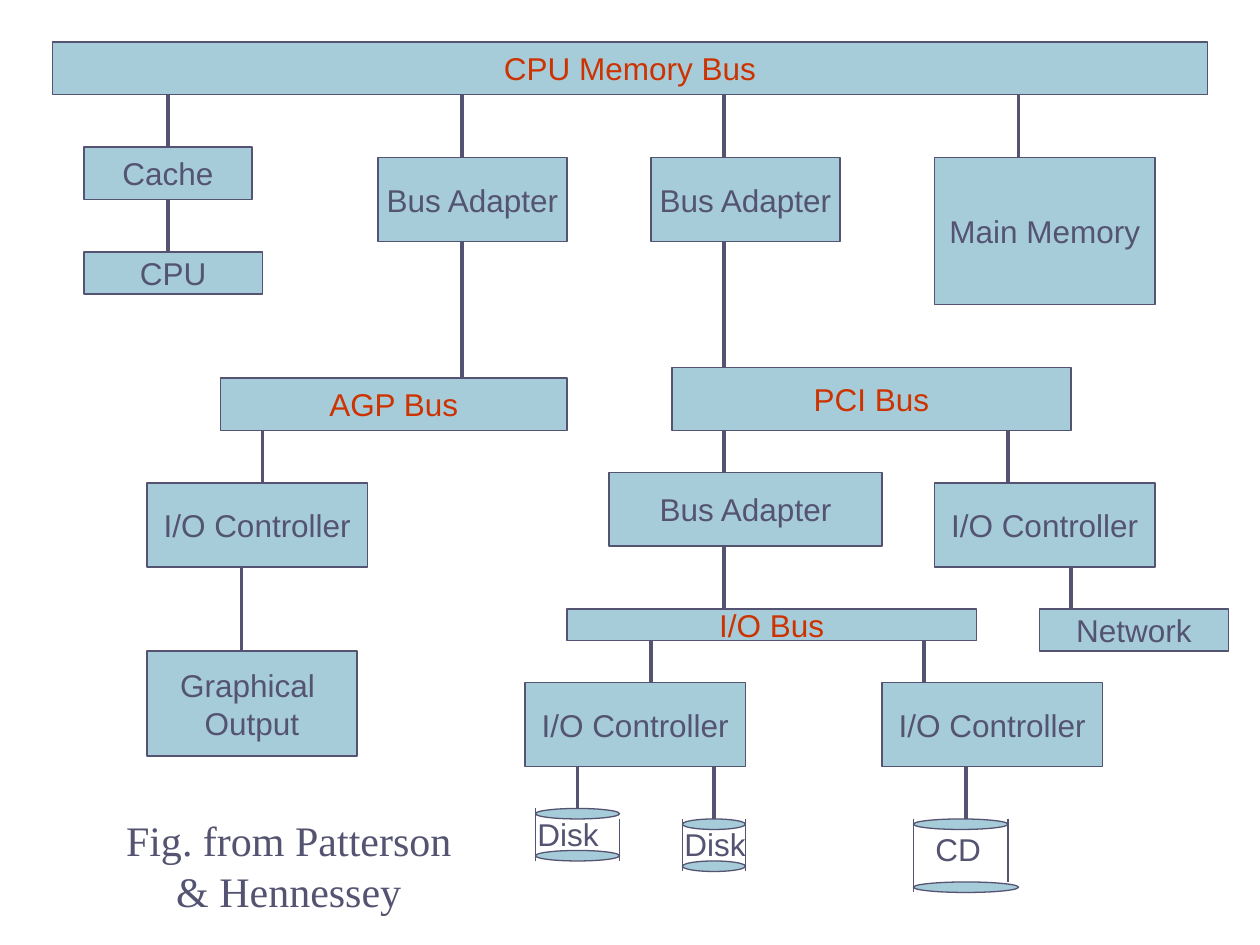
from dataclasses import dataclass

from lxml.etree import SubElement
from pptx import Presentation
from pptx.dml.color import RGBColor
from pptx.enum.shapes import MSO_CONNECTOR, MSO_SHAPE
from pptx.enum.text import MSO_ANCHOR, PP_ALIGN
from pptx.oxml.ns import qn
from pptx.shapes.autoshape import Shape
from pptx.shapes.connector import Connector
from pptx.slide import Slide
from pptx.util import Cm, Length, Pt

"""Draws a computer's bus hierarchy on a grid of twelfths of an inch."""

FILL = RGBColor(0xA7, 0xCC, 0xD9)
INK = RGBColor(0x54, 0x54, 0x72)
BUS_RED = RGBColor(0xCC, 0x33, 0x00)


@dataclass(frozen=True)
class Box:
    text: str
    x: float
    y: float
    w: float
    h: float
    color: RGBColor = INK


@dataclass(frozen=True)
class Link:
    x: float
    top: float
    bottom: float


@dataclass(frozen=True)
class Drum:
    x: float
    y: float
    w: float
    base_y: float
    base_w: float
    left: Link
    right: Link


@dataclass(frozen=True)
class Label:
    text: str
    x: float
    y: float
    w: float
    h: float
    size: int = 18
    font: str = "Arial"
    align: PP_ALIGN = PP_ALIGN.LEFT
    wrap: bool = True


BOXES = [
    Box("CPU Memory Bus", 5, 4, 110, 5, BUS_RED),
    Box("Cache", 8, 14, 16, 5),
    Box("CPU", 8, 24, 17, 4),
    Box("Bus Adapter", 36, 15, 18, 8),
    Box("Bus Adapter", 62, 15, 18, 8),
    Box("Main Memory", 89, 15, 21, 14),
    Box("AGP Bus", 21, 36, 33, 5, BUS_RED),
    Box("PCI Bus", 64, 35, 38, 6, BUS_RED),
    Box("I/O Controller", 14, 46, 21, 8),
    Box("Graphical \nOutput", 14, 62, 20, 10),
    Box("I/O Controller", 89, 46, 21, 8),
    Box("Bus Adapter", 58, 45, 26, 7),
    Box("I/O Bus", 54, 58, 39, 3, BUS_RED),
    Box("I/O Controller", 50, 65, 21, 8),
    Box("I/O Controller", 84, 65, 21, 8),
    Box("Network", 99, 58, 18, 4),
]

LINKS = [
    Link(16, 9, 14), Link(16, 19, 24),
    Link(44, 9, 15), Link(44, 23, 36),
    Link(69, 9, 15), Link(69, 23, 35), Link(69, 41, 45), Link(69, 52, 58),
    Link(97, 9, 15), Link(96, 41, 46), Link(102, 54, 58),
    Link(25, 41, 46), Link(23, 54, 62),
    Link(62, 61, 65), Link(88, 61, 65),
    Link(55, 73, 77), Link(68, 73, 78), Link(92, 73, 78),
]

DRUMS = [
    Drum(51, 77, 8, 81, 8, Link(51, 77, 82), Link(59, 78, 82)),
    Drum(65, 78, 6, 82, 6, Link(65, 78, 83), Link(71, 78, 83)),
    Drum(87, 78, 9, 84, 10, Link(87, 78, 85), Link(96, 78, 84)),
]

LABELS = [
    Label("Disk", 50, 77, 9, 4.8),
    Label("Disk", 64, 78, 8.25, 4.8, wrap=False),
    Label("CD", 87.9, 78.5, 9.2, 4.8),
    Label("Fig. from Patterson & Hennessey", 9, 77, 37, 10.8, 24,
          "Times New Roman", PP_ALIGN.CENTER),
]


def grid(n: float) -> Length:
    return Cm(n * 2.54 / 12)


def add_outlined(s: Slide, kind: MSO_SHAPE, x: float, y: float, w: float, h: float) -> Shape:
    sp = s.shapes.add_shape(kind, grid(x), grid(y), grid(w), grid(h))
    sp.shadow.inherit = False
    sp.fill.solid()
    sp.fill.fore_color.rgb = FILL
    sp.line.color.rgb = INK
    sp.line.width = Pt(0.75)
    return sp


def write(sp: Shape, text: str, size: int, font: str, color: RGBColor,
          align: PP_ALIGN, wrap: bool) -> None:
    tf = sp.text_frame
    tf.text = text
    tf.word_wrap = wrap
    for p in tf.paragraphs:
        p.alignment = align
        p.font.size = Pt(size)
        p.font.name = font
        p.font.color.rgb = color


def add_box(s: Slide, box: Box) -> Shape:
    sp = add_outlined(s, MSO_SHAPE.RECTANGLE, box.x, box.y, box.w, box.h)
    sp.text_frame.vertical_anchor = MSO_ANCHOR.MIDDLE
    write(sp, box.text, 18, "Arial", box.color, PP_ALIGN.CENTER, False)
    return sp


def add_line(s: Slide, link: Link, width: float) -> Connector:
    line = s.shapes.add_connector(MSO_CONNECTOR.STRAIGHT, grid(link.x), grid(link.top),
                                  grid(link.x), grid(link.bottom))
    line.line.color.rgb = INK
    line.line.width = Pt(width)
    SubElement(line._element.spPr, qn("a:effectLst"))
    return line


def add_link(s: Slide, link: Link, shapes: list[tuple[Box, Shape]]) -> None:
    line = add_line(s, link, 2.25)
    for box, sp in shapes:
        if box.x + box.w / 2 == link.x:
            if box.y + box.h == link.top:
                line.begin_connect(sp, 2)
            if box.y == link.bottom:
                line.end_connect(sp, 0)


def add_drum(s: Slide, drum: Drum) -> None:
    add_outlined(s, MSO_SHAPE.OVAL, drum.x, drum.y, drum.w, 1)
    for side in (drum.left, drum.right):
        add_line(s, side, 0.75)
    add_outlined(s, MSO_SHAPE.OVAL, drum.x, drum.base_y, drum.base_w, 1)


def add_label(s: Slide, label: Label) -> None:
    sp = s.shapes.add_textbox(grid(label.x), grid(label.y), grid(label.w), grid(label.h))
    write(sp, label.text, label.size, label.font, INK, label.align, label.wrap)


def main() -> None:
    prs = Presentation()
    prs.slide_width, prs.slide_height = Cm(25.4), Cm(19.05)
    s = prs.slides.add_slide(prs.slide_layouts[6])
    for drum in DRUMS:
        add_drum(s, drum)
    shapes = [(box, add_box(s, box)) for box in BOXES]
    for label in LABELS:
        add_label(s, label)
    for link in LINKS:
        add_link(s, link, shapes)
    prs.save("out.pptx")


if __name__ == "__main__":
    main()
